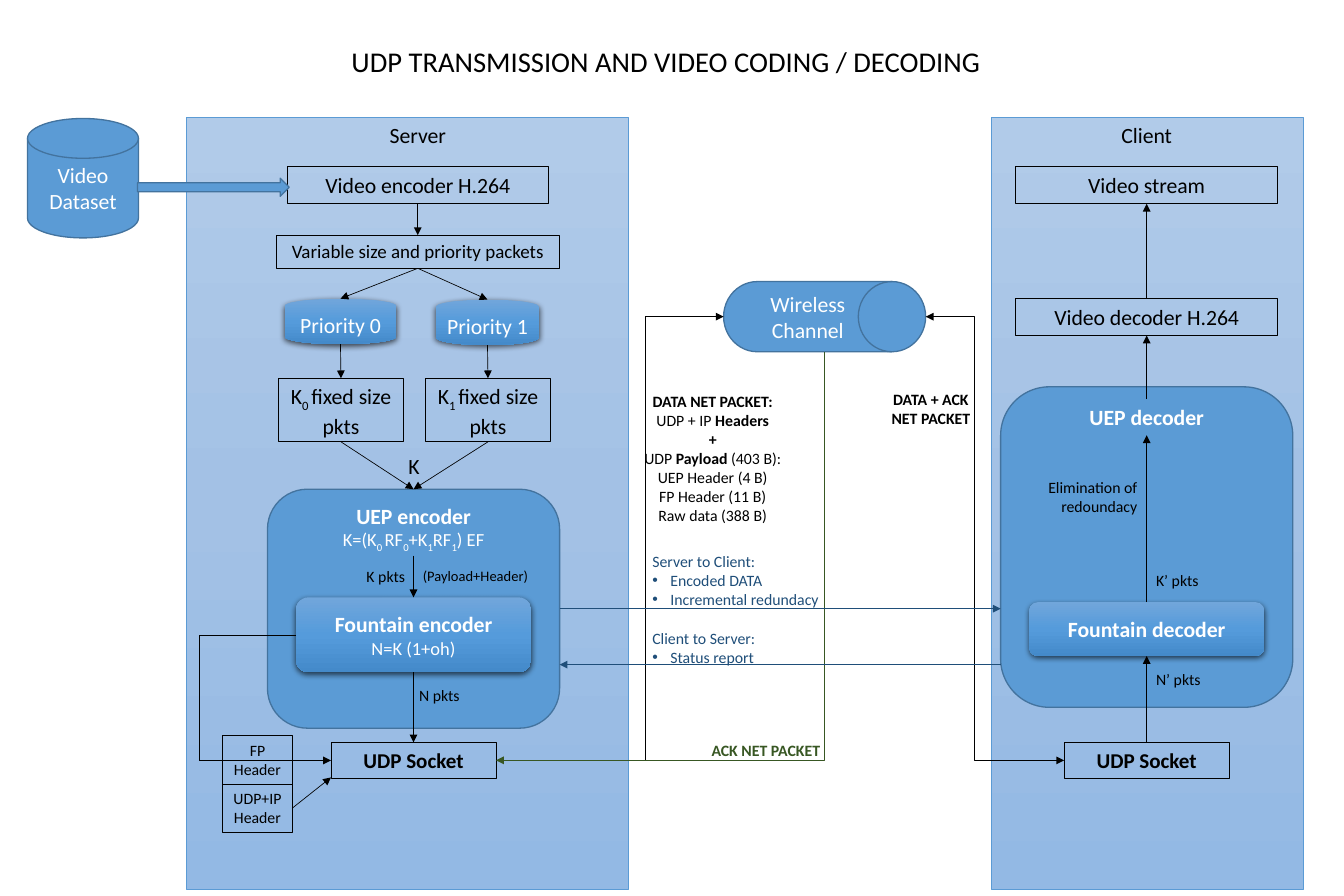
import dataclasses
import typing

import lxml.etree
import pptx
import pptx.dml.color
import pptx.enum.shapes
import pptx.enum.text
import pptx.oxml.ns
import pptx.util

Inches = pptx.util.Inches
Preset = pptx.enum.shapes.MSO_SHAPE
Wire = pptx.enum.shapes.MSO_CONNECTOR
Align = pptx.enum.text.PP_ALIGN
Anchor = pptx.enum.text.MSO_ANCHOR
TOP, LEFT, BOTTOM, RIGHT = range(4)


@dataclasses.dataclass(frozen=True)
class Theme:
    font: str = "Calibri"
    black: str = "000000"
    white: str = "FFFFFF"
    blue: str = "5B9BD5"
    edge: str = "43739E"
    navy: str = "1F4E79"
    green: str = "385723"
    panel: tuple = ("B1CBE9", "A3C1E5", "93B9E4")
    glossy: tuple = ("71A6DB", "559BDB", "448ACA")
    title: float = 21.7
    large: float = 16.5
    socket: float = 16
    packets: float = 14.4
    formula: float = 14
    small: float = 12
    tiny: float = 11


THEME = Theme()


@dataclasses.dataclass
class Span:
    text: str
    bold: typing.Optional[bool] = None
    lowered: bool = False


@dataclasses.dataclass
class Joint:
    shape: typing.Any
    side: int

    def point(self):
        shape = self.shape
        return (shape.left + int(shape.width * (0.5, 0, 0.5, 1)[self.side]),
                shape.top + int(shape.height * (0, 0.5, 1, 0.5)[self.side]))


def rgb(colour):
    return pptx.dml.color.RGBColor.from_string(colour)


def add_xml(parent, tag, **attributes):
    return lxml.etree.SubElement(parent, pptx.oxml.ns.qn(tag), attributes)


def write(shape, paras, size=THEME.large, colour=THEME.black, bold=False,
          align=Align.CENTER, anchor=Anchor.TOP, margin=0.1, wrap=True, sizes=None):
    """Fill a shape with paragraphs, each a string or a list of spans."""
    frame = shape.text_frame
    frame.word_wrap = wrap
    frame.vertical_anchor = anchor
    frame.margin_left = frame.margin_right = Inches(margin)
    frame.margin_top = frame.margin_bottom = Inches(0.05)
    for index, content in enumerate(paras):
        para = frame.add_paragraph() if index else frame.paragraphs[0]
        para.alignment = align
        for part in [Span(content)] if isinstance(content, str) else content:
            span = para.add_run()
            span.text = part.text
            span.font.name = THEME.font
            span.font.size = pptx.util.Pt(sizes[index] if sizes else size)
            span.font.bold = bold if part.bold is None else part.bold
            span.font.color.rgb = rgb(colour)
            if part.lowered:
                span.font._element.set("baseline", "-25000")


def add_label(page, at, paras, **style):
    label = page.shapes.add_textbox(*map(Inches, at))
    write(label, paras, **style)
    return label


def add_bullets(label):
    """Turn every paragraph after the heading into a bullet."""
    for para in label.text_frame.paragraphs[1:]:
        settings = para._p.get_or_add_pPr()
        settings.set("marL", str(Inches(0.19)))
        settings.set("indent", str(-Inches(0.19)))
        add_xml(settings, "a:buFont", typeface="Arial")
        add_xml(settings, "a:buChar", char="•")


def add_block(page, preset, at, fill=None, line=None, width=0.75):
    """Add a shape whose fill is a colour, a tuple of gradient stops or None."""
    block = page.shapes.add_shape(preset, *map(Inches, at))
    block.shadow.inherit = False
    if isinstance(fill, tuple):
        block.fill.gradient()
        block.fill.gradient_angle = 270
        stops = block._element.spPr.find(".//" + pptx.oxml.ns.qn("a:gsLst"))
        stops.clear()
        for index, colour in enumerate(fill):
            stop = add_xml(stops, "a:gs", pos=str(index * 50000))
            add_xml(stop, "a:srgbClr", val=colour)
    elif fill:
        block.fill.solid()
        block.fill.fore_color.rgb = rgb(fill)
    else:
        block.fill.background()
    if line:
        block.line.color.rgb = rgb(line)
        block.line.width = pptx.util.Pt(width)
    else:
        block.line.fill.background()
    return block


def add_solid(page, preset, at, paras=()):
    block = add_block(page, preset, at, THEME.blue, THEME.edge, 1)
    write(block, paras, colour=THEME.white, anchor=Anchor.MIDDLE)
    return block


def add_frame(page, at, text, **style):
    frame = add_block(page, Preset.RECTANGLE, at, line=THEME.black)
    write(frame, [text], **style)
    return frame


def add_glossy(page, preset, at, paras, **style):
    block = add_block(page, preset, at, THEME.glossy)
    effects = block._element.spPr.find(pptx.oxml.ns.qn("a:effectLst"))
    shadow = add_xml(effects, "a:outerShdw", blurRad="57150", dist="19050",
                     dir="5400000", algn="ctr", rotWithShape="0")
    add_xml(add_xml(shadow, "a:srgbClr", val=THEME.black), "a:alpha", val="63000")
    write(block, paras, colour=THEME.white, anchor=Anchor.MIDDLE, **style)
    return block


def add_wire(page, start, end, colour=THEME.black, kind=Wire.STRAIGHT, heads=("tail",)):
    """Draw a line between two ends, each a point in inches or a Joint."""
    points = [place.point() if isinstance(place, Joint) else tuple(map(Inches, place))
              for place in (start, end)]
    wire = page.shapes.add_connector(kind, *points[0], *points[1])
    if isinstance(start, Joint):
        wire.begin_connect(start.shape, start.side)
    if isinstance(end, Joint):
        wire.end_connect(end.shape, end.side)
    wire.line.color.rgb = rgb(colour)
    wire.line.width = pptx.util.Pt(0.5)
    for head in heads:
        add_xml(wire.line._get_or_add_ln(), f"a:{head}End", type="triangle")
    add_xml(wire._element.spPr, "a:effectLst")
    return wire


def add_elbow(page, start, end, bend, heads):
    """Draw a wire that runs sideways to x = bend, then up or down, then sideways."""
    wire = add_wire(page, start, end, kind=Wire.ELBOW, heads=heads)
    ratio = (bend - start[0]) / (end[0] - start[0])
    guides = wire._element.spPr.prstGeom.get_or_add_avLst()
    add_xml(guides, "a:gd", name="adj1", fmla=f"val {round(ratio * 100000)}")


def add_corner(page, start, end, colour):
    """Draw a wire with one corner, sideways first, with its arrowhead at the start."""
    wire = add_wire(page, start, end, colour, Wire.ELBOW, ("head",))
    wire._element.spPr.prstGeom.set("prst", "bentConnector2")


def add_title(page, text):
    title = page.shapes.title
    title.left, title.top, title.width, title.height = map(Inches, (3.59, 0.41, 6.86, 0.47))
    write(title, [text], size=THEME.title, anchor=Anchor.MIDDLE)


def add_server(page):
    add_label(page, (3.86, 1.24, 1.09, 0.39), ["Server"])
    encoder = add_frame(page, (3.03, 1.76, 2.75, 0.39), "Video encoder H.264")
    add_solid(page, Preset.RIGHT_ARROW, (1.45, 1.88, 1.6, 0.19))
    packets = add_frame(page, (2.91, 2.48, 2.99, 0.35), "Variable size and priority packets",
                        size=THEME.packets)
    add_wire(page, Joint(encoder, BOTTOM), Joint(packets, TOP))

    uep = add_solid(page, Preset.ROUNDED_RECTANGLE, (2.82, 5.16, 3.08, 2.52))
    for level, (centre, top, width) in enumerate([(3.59, 3.15, 1.18), (5.14, 3.16, 1.09)]):
        add_glossy(page, Preset.FLOWCHART_MAGNETIC_DISK,
                   (centre - width / 2, top, width, 0.48), [f"Priority {level}"])
        fixed = add_frame(page, (centre - 0.65, 3.99, 1.31, 0.67),
                          [Span("K"), Span(f"{level} ", lowered=True), Span("fixed size pkts")])
        add_wire(page, Joint(packets, BOTTOM), (centre, top))
        add_wire(page, (centre, top + 0.48), Joint(fixed, TOP))
        add_wire(page, Joint(fixed, BOTTOM), Joint(uep, TOP))
    add_label(page, (3.93, 4.73, 0.87, 0.39), ["K"])

    formula = [Span("K=(K"), Span("0 ", lowered=True), Span("RF"), Span("0", lowered=True),
               Span("+K"), Span("1", lowered=True), Span("RF"), Span("1", lowered=True),
               Span(") EF")]
    sizes = (THEME.large, THEME.formula)
    add_label(page, (2.94, 5.25, 2.84, 0.61), [[Span("UEP encoder", bold=True)], formula],
              colour=THEME.white, sizes=sizes)
    fountain = add_glossy(page, Preset.ROUNDED_RECTANGLE, (3.12, 6.3, 2.48, 0.79),
                          [[Span("Fountain encoder", bold=True)], "N=K (1+oh)"], sizes=sizes)
    socket = add_frame(page, (3.49, 7.83, 1.74, 0.38), "UDP Socket", size=THEME.socket, bold=True)
    add_wire(page, (4.36, 5.86), Joint(fountain, TOP))
    add_wire(page, Joint(fountain, BOTTOM), Joint(socket, TOP))
    add_label(page, (3.04, 5.93, 1.33, 0.3), ["K pkts"], size=THEME.small, align=Align.RIGHT)
    add_label(page, (4.36, 5.93, 1.4, 0.29), ["(Payload+Header)"], size=THEME.tiny,
              align=Align.LEFT)
    add_label(page, (4.32, 7.18, 1.37, 0.3), ["N pkts"], size=THEME.small, align=Align.LEFT)

    add_frame(page, (2.35, 7.76, 0.73, 0.51), "FP Header", size=THEME.small, margin=0.05)
    header = add_frame(page, (2.35, 8.27, 0.73, 0.51), "UDP+IP Header", size=THEME.small,
                       margin=0.05)
    add_wire(page, Joint(header, RIGHT), (3.49, 8.2))
    add_elbow(page, (3.12, 6.7), (2.35, 8.02), 2.1, heads=())
    add_wire(page, (2.1, 8.02), Joint(socket, LEFT))
    return uep


def add_client(page):
    add_label(page, (11.57, 1.23, 1.04, 0.39), ["Client"])
    stream = add_frame(page, (10.71, 1.76, 2.76, 0.39), "Video stream")
    decoder = add_frame(page, (10.71, 3.15, 2.76, 0.39), "Video decoder H.264")
    socket = add_frame(page, (11.22, 7.83, 1.74, 0.38), "UDP Socket", size=THEME.socket, bold=True)
    add_solid(page, Preset.ROUNDED_RECTANGLE, (10.55, 4.08, 3.08, 3.38))
    fountain = add_glossy(page, Preset.ROUNDED_RECTANGLE, (10.85, 6.35, 2.48, 0.57),
                          ["Fountain decoder"], bold=True)
    heading = add_label(page, (10.67, 4.21, 2.84, 0.38), ["UEP decoder"],
                        colour=THEME.white, bold=True)
    chain = (socket, fountain, heading, decoder, stream)
    for lower, upper in zip(chain, chain[1:]):
        add_wire(page, Joint(lower, TOP), Joint(upper, BOTTOM))
    for top, text in ((5.97, "K’ pkts"), (7.01, "N’ pkts")):
        add_label(page, (12.09, top, 0.79, 0.3), [text], size=THEME.small, align=Align.LEFT)
    add_label(page, (10.67, 4.99, 1.42, 0.5), ["Elimination of redoundacy"],
              size=THEME.small, align=Align.RIGHT)


def add_channel(page, uep_encoder):
    add_solid(page, Preset.FLOWCHART_DIRECT_ACCESS_STORAGE, (7.63, 2.97, 2.13, 0.74),
              ["Wireless Channel"])
    add_elbow(page, (9.76, 3.34), (11.22, 8.02), 10.27, heads=("head", "tail"))
    add_elbow(page, (5.23, 8.02), (7.63, 3.34), 6.8, heads=("tail",))
    add_corner(page, (5.23, 8.02), (8.69, 3.71), THEME.green)
    add_label(page, (6.63, 4.08, 1.77, 1.51),
              [[Span("DATA NET PACKET:", bold=True)],
               [Span("UDP + IP "), Span("Headers", bold=True)],
               [Span("+", bold=True)],
               [Span("UDP "), Span("Payload ", bold=True), Span("(403 B):")],
               "UEP Header (4 B)", "FP Header (11 B)", "Raw data (388 B)"], size=THEME.small)
    add_label(page, (7.38, 7.76, 1.39, 0.3), ["ACK NET PACKET"], size=THEME.small,
              colour=THEME.green, bold=True, margin=0.05)
    add_label(page, (9.12, 4.06, 1.39, 0.5), ["DATA + ACK", "NET PACKET"],
              size=THEME.small, bold=True)
    add_wire(page, Joint(uep_encoder, RIGHT), (10.55, 6.42), THEME.navy)
    add_wire(page, (10.55, 7.01), (5.9, 7.01), THEME.navy)
    notes = {"style": {"size": THEME.small, "colour": THEME.navy, "align": Align.LEFT}}
    add_bullets(add_label(page, (6.78, 5.77, 2.03, 0.71),
                          ["Server to Client:", "Encoded DATA", "Incremental redundacy"],
                          **notes["style"]))
    add_bullets(add_label(page, (6.78, 6.58, 1.3, 0.5), ["Client to Server:", "Status report"],
                          wrap=False, **notes["style"]))


def main():
    deck = pptx.Presentation()
    deck.slide_width, deck.slide_height = Inches(14.17), Inches(9.45)
    page = deck.slides.add_slide(deck.slide_layouts[5])
    add_title(page, "UDP TRANSMISSION AND VIDEO CODING / DECODING")
    for left, width in ((1.97, 4.66), (10.45, 3.29)):
        add_block(page, Preset.RECTANGLE, (left, 1.24, width, 8.14), THEME.panel, THEME.blue, 0.5)
    add_solid(page, Preset.FLOWCHART_MAGNETIC_DISK, (0.29, 1.25, 1.17, 1.26), ["Video Dataset"])
    uep_encoder = add_server(page)
    add_client(page)
    add_channel(page, uep_encoder)
    deck.save("out.pptx")


if __name__ == "__main__":
    main()
